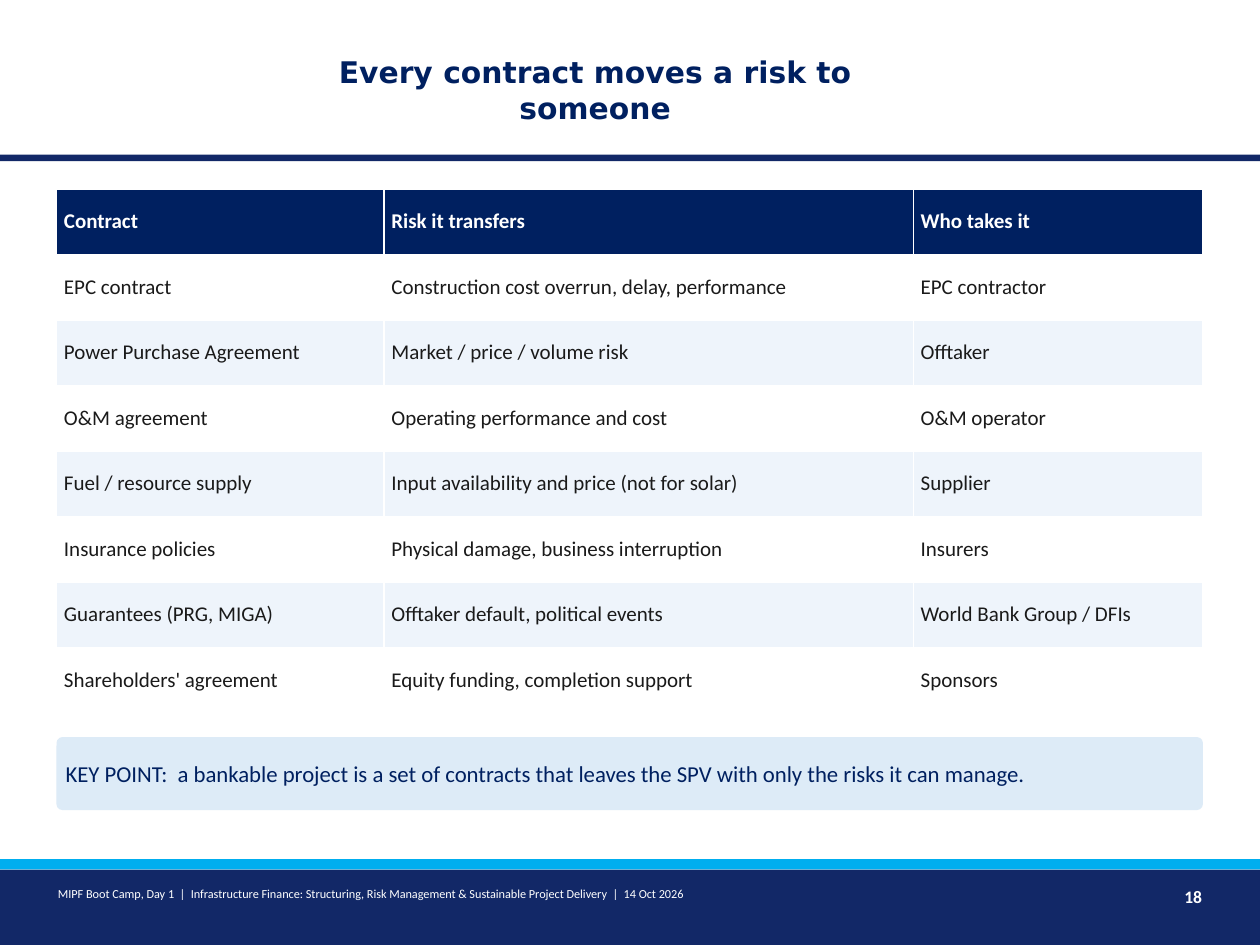
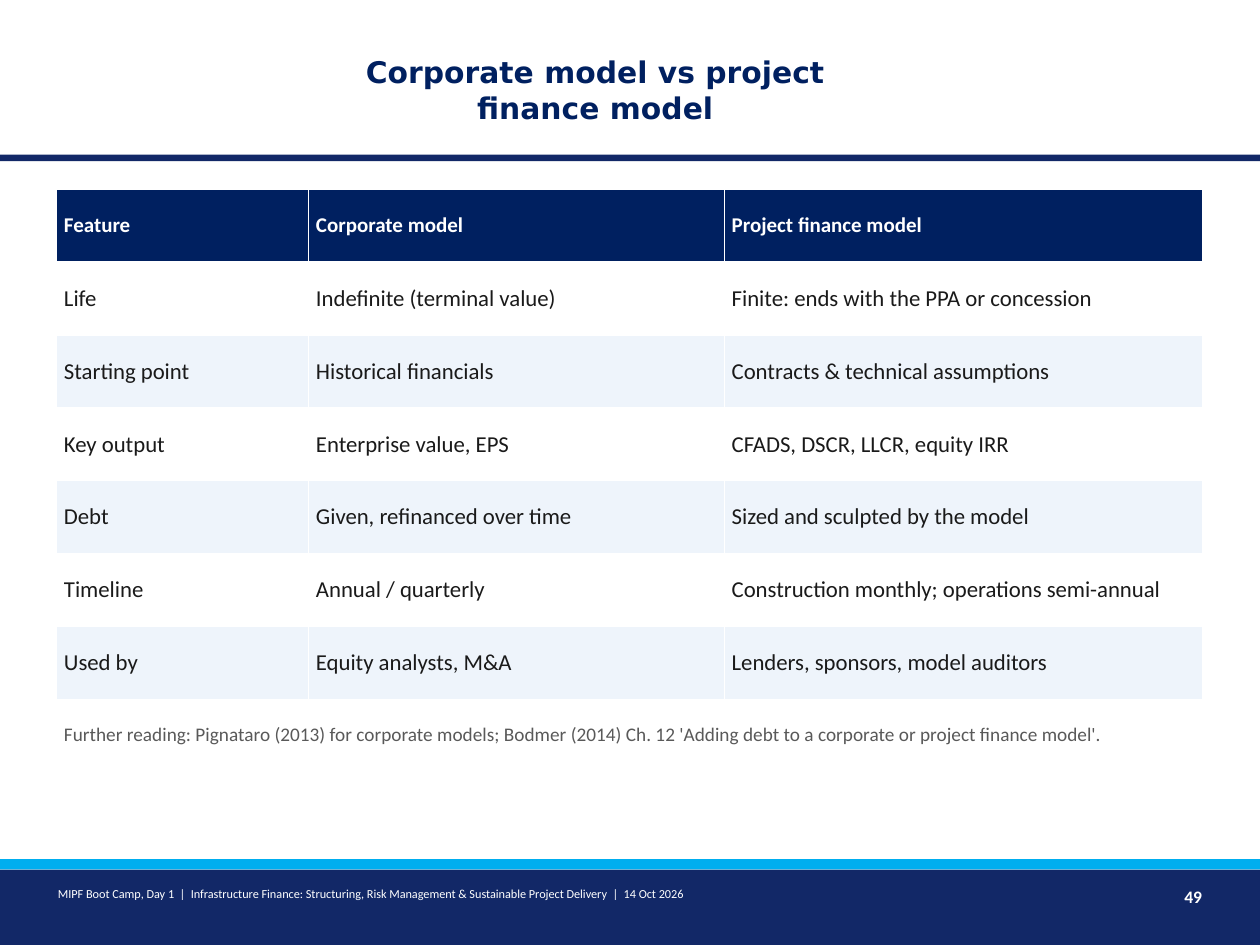
from pptx import Presentation
from pptx import util as u
from pptx.dml.color import RGBColor
from pptx.enum import shapes, text

COLOURS = {
    "navy": "002060",
    "band": "122867",
    "cyan": "00AEEF",
    "stripe": "EEF4FB",
    "callout": "DDEBF7",
    "ink": "1A1A1A",
    "grey": "595959",
    "white": "FFFFFF",
}
BODY_FONT = "Calibri"
TITLE_FONT = "DejaVu Sans"
FOOTER = (
    "MIPF Boot Camp, Day 1  |  Infrastructure Finance: Structuring, "
    "Risk Management & Sustainable Project Delivery  |  14 Oct 2026"
)
SLIDE_WIDTH, SLIDE_HEIGHT = 25.4, 19.05
LEFT, TABLE_TOP, CONTENT_WIDTH = 1.14, 3.81, 23.11
BANDS = [
    (3.12, 0.13, "band"),
    (17.53, 1.52, "band"),
    (17.32, 0.21, "cyan"),
]

CONTRACTS = {
    "title": "Every contract moves a risk to someone",
    "number": 18,
    "columns": [6.6, 10.67, 5.84],
    "row_height": 1.32,
    "body_size": 12,
    "rows": [
        ("Contract", "Risk it transfers", "Who takes it"),
        ("EPC contract", "Construction cost overrun, delay, performance", "EPC contractor"),
        ("Power Purchase Agreement", "Market / price / volume risk", "Offtaker"),
        ("O&M agreement", "Operating performance and cost", "O&M operator"),
        ("Fuel / resource supply", "Input availability and price (not for solar)", "Supplier"),
        ("Insurance policies", "Physical damage, business interruption", "Insurers"),
        ("Guarantees (PRG, MIGA)", "Offtaker default, political events", "World Bank Group / DFIs"),
        ("Shareholders' agreement", "Equity funding, completion support", "Sponsors"),
    ],
}
KEY_POINT = (
    "KEY POINT:  a bankable project is a set of contracts that leaves "
    "the SPV with only the risks it can manage."
)

MODELS = {
    "title": "Corporate model vs project finance model",
    "number": 49,
    "columns": [5.08, 8.38, 9.65],
    "row_height": 1.47,
    "body_size": 13,
    "rows": [
        ("Feature", "Corporate model", "Project finance model"),
        ("Life", "Indefinite (terminal value)", "Finite: ends with the PPA or concession"),
        ("Starting point", "Historical financials", "Contracts & technical assumptions"),
        ("Key output", "Enterprise value, EPS", "CFADS, DSCR, LLCR, equity IRR"),
        ("Debt", "Given, refinanced over time", "Sized and sculpted by the model"),
        ("Timeline", "Annual / quarterly", "Construction monthly; operations semi-annual"),
        ("Used by", "Equity analysts, M&A", "Lenders, sponsors, model auditors"),
    ],
}
FURTHER_READING = (
    "Further reading: Pignataro (2013) for corporate models; Bodmer (2014) "
    "Ch. 12 'Adding debt to a corporate or project finance model'."
)


def paint(fill, colour):
    fill.solid()
    fill.fore_color.rgb = RGBColor.from_string(COLOURS[colour])


def set_margins(holder):
    holder.margin_left = holder.margin_right = u.Cm(0.15)
    holder.margin_top = holder.margin_bottom = u.Cm(0.08)


def write(frame, words, size, colour, bold=False, font=BODY_FONT, align=text.PP_ALIGN.LEFT):
    frame.text = words
    frame.word_wrap = True
    paragraph = frame.paragraphs[0]
    paragraph.alignment = align
    run_font = paragraph.runs[0].font
    run_font.name = font
    run_font.size = u.Pt(size)
    run_font.bold = bold
    run_font.color.rgb = RGBColor.from_string(COLOURS[colour])
    return paragraph


def add_block(slide, kind, box, colour):
    shape = slide.shapes.add_shape(kind, *map(u.Cm, box))
    shape.shadow.inherit = False
    paint(shape.fill, colour)
    shape.line.fill.background()
    return shape


def add_label(slide, box, words, size, colour, **style):
    frame = slide.shapes.add_textbox(*map(u.Cm, box)).text_frame
    set_margins(frame)
    return write(frame, words, size, colour, **style)


def add_title(slide, words):
    frame = slide.shapes.add_textbox(*map(u.Cm, (5.84, 0.56, 12.32, 2.49))).text_frame
    frame.vertical_anchor = text.MSO_ANCHOR.MIDDLE
    write(frame, words, 17, "navy", bold=True, font=TITLE_FONT, align=text.PP_ALIGN.CENTER)


def add_grid(slide, content):
    rows, columns = content["rows"], content["columns"]
    box = (LEFT, TABLE_TOP, CONTENT_WIDTH, content["row_height"] * len(rows))
    table = slide.shapes.add_table(len(rows), len(columns), *map(u.Cm, box)).table
    for column, width in zip(table.columns, columns):
        column.width = u.Cm(width)
    for index, row in enumerate(rows):
        table.rows[index].height = u.Cm(content["row_height"])
        if index == 0:
            fill, size, colour = "navy", 12, "white"
        else:
            fill = "white" if index % 2 else "stripe"
            size, colour = content["body_size"], "ink"
        for cell, words in zip(table.rows[index].cells, row):
            paint(cell.fill, fill)
            set_margins(cell)
            cell.vertical_anchor = text.MSO_ANCHOR.MIDDLE
            write(cell.text_frame, words, size, colour, bold=index == 0)


def add_table_slide(presentation, content):
    slide = presentation.slides.add_slide(presentation.slide_layouts[6])
    for top, height, colour in BANDS:
        add_block(slide, shapes.MSO_SHAPE.RECTANGLE, (0, top, SLIDE_WIDTH, height), colour)
    add_title(slide, content["title"])
    add_label(slide, (1.02, 17.78, 17.27, 0.89), FOOTER, 7, "white")
    add_label(slide, (22.86, 17.78, 1.52, 0.89), str(content["number"]), 10, "white",
              bold=True, align=text.PP_ALIGN.RIGHT)
    add_grid(slide, content)
    return slide


def add_key_point(slide):
    box = (LEFT, 14.86, CONTENT_WIDTH, 1.47)
    callout = add_block(slide, shapes.MSO_SHAPE.ROUNDED_RECTANGLE, box, "callout")
    callout.adjustments[0] = 0.08
    set_margins(callout.text_frame)
    callout.text_frame.vertical_anchor = text.MSO_ANCHOR.MIDDLE
    write(callout.text_frame, KEY_POINT, 13, "navy")


def main():
    presentation = Presentation()
    presentation.slide_width = u.Cm(SLIDE_WIDTH)
    presentation.slide_height = u.Cm(SLIDE_HEIGHT)

    add_key_point(add_table_slide(presentation, CONTRACTS))

    models_slide = add_table_slide(presentation, MODELS)
    reading = add_label(models_slide, (LEFT, 14.48, CONTENT_WIDTH, 1.27), FURTHER_READING, 11, "grey")
    reading.space_after = u.Pt(4)

    presentation.save("out.pptx")


if __name__ == "__main__":
    main()
